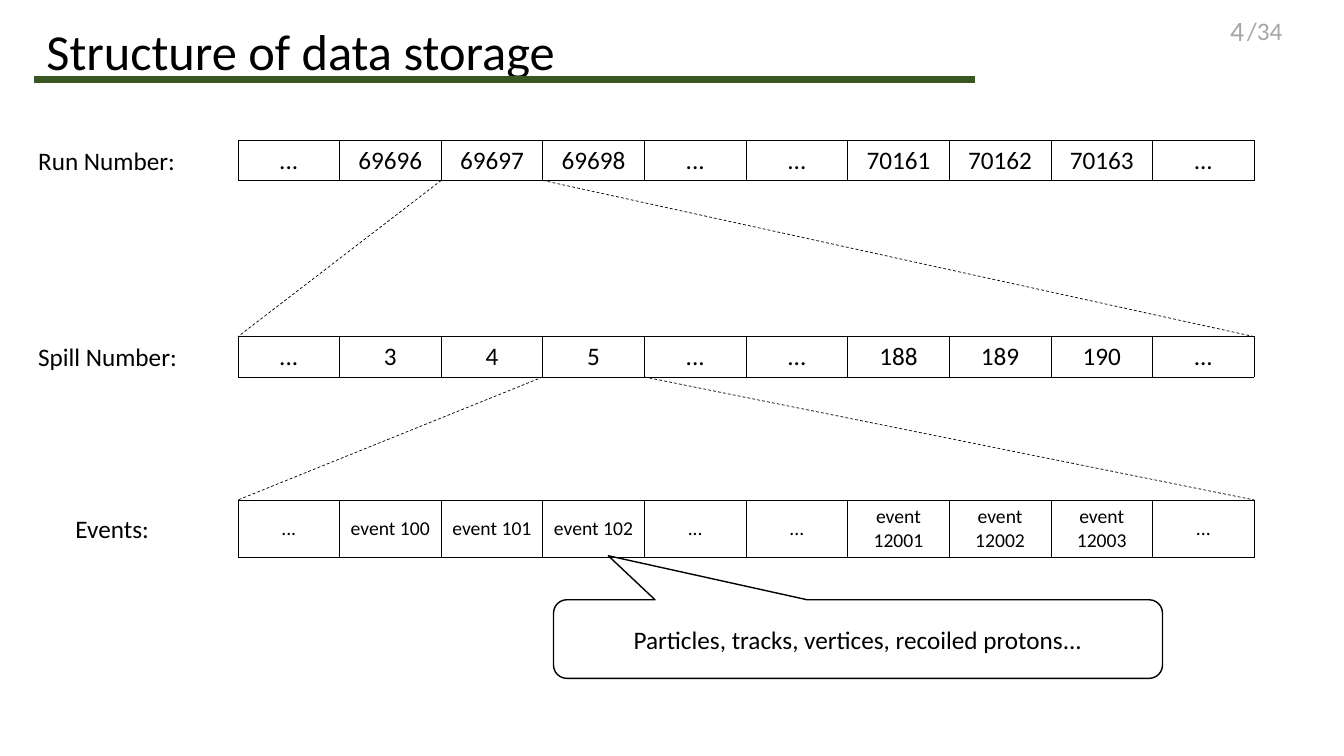
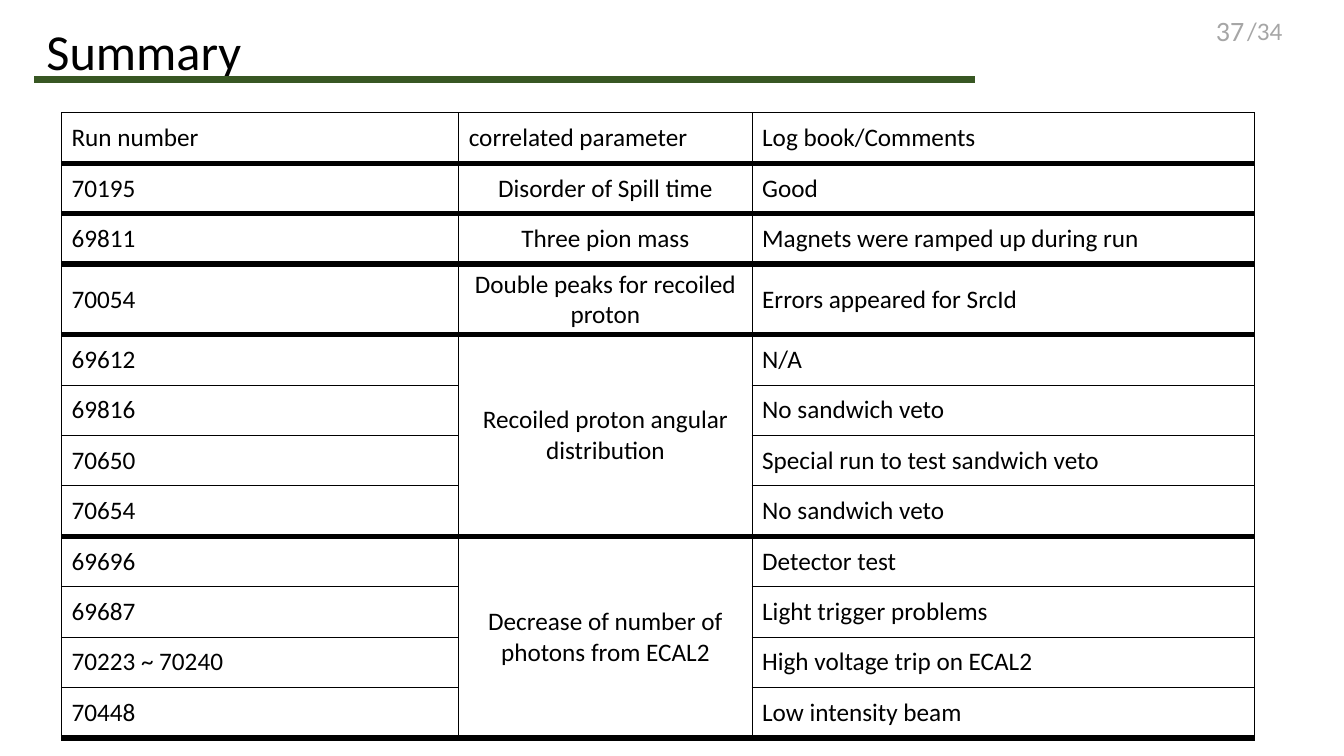
from dataclasses import dataclass

from pptx import Presentation
from pptx import util as u
from pptx.dml.color import RGBColor
from pptx.enum import dml, shapes, text
from pptx.oxml import ns, xmlchemy
from pptx.util import Inches


@dataclass(frozen=True)
class Theme:
    font: str = "Calibri"
    ink: str = "000000"
    accent: str = "385723"
    muted: str = "A6A6A6"
    title: int = 36
    page_number: int = 20
    body: int = 18
    small: int = 14
    hairline: float = 0.5
    thin: float = 1
    thick: float = 4.5


THEME = Theme()
LEFT, CENTER, RIGHT = text.PP_ALIGN.LEFT, text.PP_ALIGN.CENTER, text.PP_ALIGN.RIGHT
TOP, MIDDLE = text.MSO_ANCHOR.TOP, text.MSO_ANCHOR.MIDDLE

# Content: storage levels, each with the index of the cell that opens the next level
STORAGE_TITLE, STORAGE_PAGE = "Structure of data storage", "4"
LEVELS = [
    dict(label="Run Number:", label_left=0.28, top=1.39, height=0.4, size=THEME.body, opened=2,
         cells=["...", "69696", "69697", "69698", "...", "...",
                "70161", "70162", "70163", "..."]),
    dict(label="Spill Number:", label_left=0.28, top=3.34, height=0.4, size=THEME.body, opened=3,
         cells=["...", "3", "4", "5", "...", "...", "188", "189", "190", "..."]),
    dict(label="Events:", label_left=0.65, top=4.96, height=0.57, size=THEME.small, opened=None,
         cells=["...", "event 100", "event 101", "event 102", "...", "...",
                "event 12001", "event 12002", "event 12003", "..."]),
]
EVENT_CONTENT = "Particles, tracks, vertices, recoiled protons..."
STRIP_LEFT, STRIP_WIDTH = 2.36, 10.08

# Content: runs grouped by the parameter they correlate with
SUMMARY_TITLE, SUMMARY_PAGE = "Summary", "37"
HEADER = ("Run number", "correlated parameter", "Log book/Comments")
GROUPS = [
    ("Disorder of Spill time", [("70195", "Good")]),
    ("Three pion mass", [("69811", "Magnets were ramped up during run")]),
    ("Double peaks for recoiled proton", [("70054", "Errors appeared for SrcId")]),
    ("Recoiled proton angular distribution", [
        ("69612", "N/A"),
        ("69816", "No sandwich veto"),
        ("70650", "Special run to test sandwich veto"),
        ("70654", "No sandwich veto")]),
    ("Decrease of number of photons from ECAL2", [
        ("69696", "Detector test"),
        ("69687", "Light trigger problems"),
        ("70223 ~ 70240", "High voltage trip on ECAL2"),
        ("70448", "Low intensity beam")]),
]
SUMMARY_COLUMNS = (3.94, 2.91, 4.98)
ROW_HEIGHT, TWO_LINE_HEIGHT = 0.5, 0.7
TWO_LINE_ROW = 3


def color(value):
    return RGBColor.from_string(value)


def write(frame, words, size=THEME.body, ink=THEME.ink, align=LEFT):
    para = frame.paragraphs[0]
    para.alignment = align
    span = para.add_run()
    span.text = words
    span.font.name = THEME.font
    span.font.size = u.Pt(size)
    span.font.color.rgb = color(ink)


def add_text(page, words, left, top, width, height, anchor=TOP, **style):
    box = page.shapes.add_textbox(Inches(left), Inches(top), Inches(width), Inches(height))
    box.text_frame.word_wrap = True
    box.text_frame.vertical_anchor = anchor
    write(box.text_frame, words, **style)


def add_line(page, start, end, width, ink=THEME.ink, dashed=False):
    line = page.shapes.add_connector(shapes.MSO_CONNECTOR.STRAIGHT,
                                     *map(Inches, start + end))
    line.line.color.rgb = color(ink)
    line.line.width = u.Pt(width)
    if dashed:
        line.line.dash_style = dml.MSO_LINE.DASH
    xmlchemy.OxmlElement("a:effectLst")
    line._element.spPr.append(xmlchemy.OxmlElement("a:effectLst"))


def add_page(deck, title, number):
    """Title-only page with the green rule and the page count."""
    page = deck.slides.add_slide(deck.slide_layouts[5])
    add_line(page, (0.34, 0.79), (9.67, 0.79), THEME.thick, THEME.accent)
    add_text(page, "/34", 12.27, 0.1, 0.9, 0.4, ink=THEME.muted)
    add_text(page, number, 11.38, 0.1, 1.06, 0.4, anchor=MIDDLE,
             size=THEME.page_number, ink=THEME.muted, align=RIGHT)
    heading = page.shapes.title
    heading.left, heading.top = Inches(0.36), Inches(0.15)
    heading.width, heading.height = Inches(11.35), Inches(0.71)
    frame = heading.text_frame
    frame.auto_size = text.MSO_AUTO_SIZE.NONE
    frame.vertical_anchor = TOP
    write(frame, title, size=THEME.title)
    return page


def add_table(page, left, top, columns, rows):
    frame = page.shapes.add_table(len(rows), len(columns), Inches(left), Inches(top),
                                  Inches(sum(columns)), Inches(sum(rows)))
    table = frame.table
    table.first_row = table.horz_banding = False
    for column, width in zip(table.columns, columns):
        column.width = Inches(width)
    for row, height in zip(table.rows, rows):
        row.height = Inches(height)
    return table


def format_cell(cell, side, top, bottom):
    """Draw the four borders, clear the fill and centre vertically."""
    properties = cell._tc.get_or_add_tcPr()
    for tag, width in (("a:lnL", side), ("a:lnR", side), ("a:lnT", top), ("a:lnB", bottom)):
        border = xmlchemy.OxmlElement(tag)
        border.set("w", str(u.Pt(width)))
        fill = xmlchemy.OxmlElement("a:solidFill" if width else "a:noFill")
        if width:
            ink = xmlchemy.OxmlElement("a:srgbClr")
            ink.set("val", THEME.ink)
            fill.append(ink)
        border.append(fill)
        properties.append(border)
    cell.fill.background()
    cell.vertical_anchor = MIDDLE


def build_storage(deck):
    page = add_page(deck, STORAGE_TITLE, STORAGE_PAGE)
    strip_right = STRIP_LEFT + STRIP_WIDTH

    # One strip of cells per level
    for level in LEVELS:
        count = len(level["cells"])
        table = add_table(page, STRIP_LEFT, level["top"],
                          [STRIP_WIDTH / count] * count, [level["height"]])
        for cell, words in zip(table.rows[0].cells, level["cells"]):
            format_cell(cell, *[THEME.hairline] * 3)
            write(cell.text_frame, words, size=level["size"], align=CENTER)
        add_text(page, level["label"], level["label_left"],
                 level["top"] + level["height"] / 2 - 0.2, 1.91, 0.4)

    # Dashed lines from the opened cell to the ends of the next strip
    for upper, lower in zip(LEVELS, LEVELS[1:]):
        cell_width = STRIP_WIDTH / len(upper["cells"])
        cell_left = STRIP_LEFT + upper["opened"] * cell_width
        bottom = upper["top"] + upper["height"]
        for start, end in ((cell_left, STRIP_LEFT), (cell_left + cell_width, strip_right)):
            add_line(page, (start, bottom), (end, lower["top"]), THEME.hairline, dashed=True)

    # Callout with what an event holds
    callout = page.shapes.add_shape(shapes.MSO_SHAPE.ROUNDED_RECTANGULAR_CALLOUT,
                                    Inches(5.49), Inches(5.95), Inches(6.04), Inches(0.78))
    for index, value in enumerate((-0.41, -1.06, 0.17)):
        callout.adjustments[index] = value
    callout.shadow.inherit = False
    callout.fill.background()
    callout.line.color.rgb = color(THEME.ink)
    callout.line.width = u.Pt(THEME.thin)
    callout.text_frame.word_wrap = True
    callout.text_frame.vertical_anchor = MIDDLE
    write(callout.text_frame, EVENT_CONTENT, align=CENTER)


def build_summary(deck):
    page = add_page(deck, SUMMARY_TITLE, SUMMARY_PAGE)
    row_count = 1 + sum(len(runs) for _, runs in GROUPS)
    heights = [ROW_HEIGHT] * row_count
    heights[TWO_LINE_ROW] = TWO_LINE_HEIGHT
    table = add_table(page, 0.61, 1.12, SUMMARY_COLUMNS, heights)

    for column, words in enumerate(HEADER):
        cell = table.cell(0, column)
        format_cell(cell, THEME.thin, THEME.thin, THEME.thick)
        write(cell.text_frame, words)

    # Thick rules part the groups; the parameter spans its group
    first = 1
    for parameter, runs in GROUPS:
        last = first + len(runs) - 1
        for row, (run, comment) in enumerate(runs, first):
            top = THEME.thick if row == first else THEME.thin
            bottom = THEME.thick if row == last else THEME.thin
            for column, words in ((0, run), (2, comment)):
                cell = table.cell(row, column)
                format_cell(cell, THEME.thin, top, bottom)
                write(cell.text_frame, words)
            format_cell(table.cell(row, 1), THEME.thin,
                        THEME.thick if row == first else 0,
                        THEME.thick if last in (row, first + len(runs) - 1) and row in (first, last) else 0)
        origin = table.cell(first, 1)
        if last > first:
            origin.merge(table.cell(last, 1))
        write(origin.text_frame, parameter, align=CENTER)
        first = last + 1


def main():
    deck = Presentation()
    deck.slide_width, deck.slide_height = Inches(13.33), Inches(7.5)
    build_storage(deck)
    build_summary(deck)
    deck.save("out.pptx")


if __name__ == "__main__":
    main()
